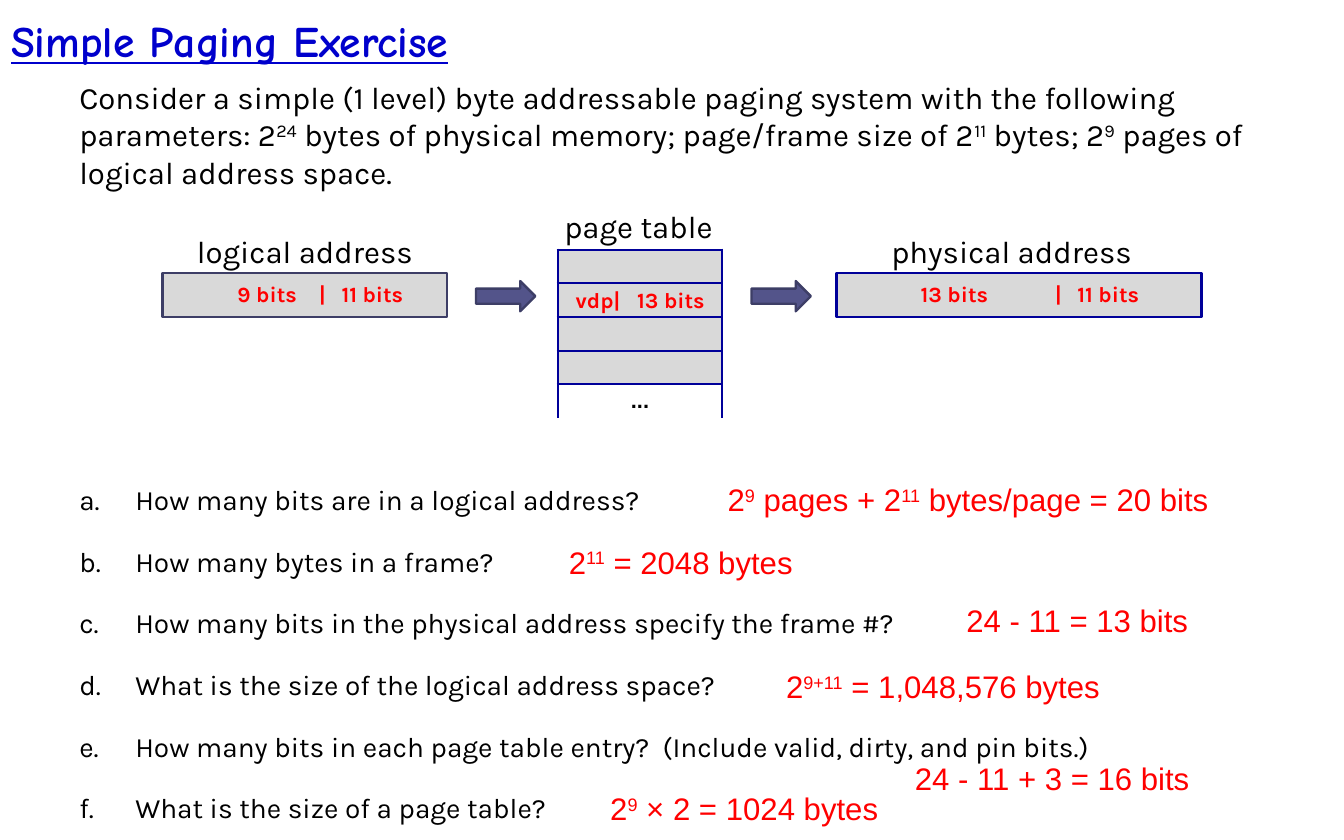
from lxml import etree
from pptx import Presentation
from pptx import util as u
from pptx.dml import color
from pptx.enum import shapes, text
from pptx.oxml import ns

THEME = {
    "title": "0000CC", "ink": "000000", "answer": "FF0000",
    "cell": "D9D9D9", "white": "FFFFFF", "navy": "000099",
    "arrow": "53548A", "slate": "3D3E66",
    "title_size": 28, "body_size": 20, "question_size": 18, "bits_size": 14,
    "title_font": "Comic Neue", "body_font": "Karla", "answer_font": "Arial",
    "line": 1.5,
}


def write(para, content, font, size, tint, **extra):
    """Fill a paragraph; parts between ^ marks are superscript."""
    style = {"name": font, "size": u.Pt(size), **extra}
    for index, part in enumerate(content.split("^")):
        span = para.add_run()
        span.text = part
        for name, value in style.items():
            setattr(span.font, name, value)
        span.font.color.rgb = color.RGBColor.from_string(tint)
        if index % 2:
            span._r.get_or_add_rPr().set("baseline", "30000")


def add_box(left, top, width, height, **frame):
    """Add a text box with the given frame settings; return its text frame."""
    box = page.shapes.add_textbox(*map(u.Inches, (left, top, width, height)))
    settings = {"word_wrap": True, **frame}
    for name, value in settings.items():
        setattr(box.text_frame, name, value)
    return box.text_frame


deck = Presentation()
deck.slide_width, deck.slide_height = u.Inches(12), u.Inches(7.5)
page = deck.slides.add_slide(deck.slide_layouts[5])
FIT = text.MSO_AUTO_SIZE.SHAPE_TO_FIT_TEXT
BODY = (THEME["body_font"], THEME["body_size"], THEME["ink"])

# Title
title = page.shapes.title
place = {"left": 0, "top": 0.01, "width": 9, "height": 0.69}
for name, value in place.items():
    setattr(title, name, u.Inches(value))
title.text_frame.vertical_anchor = text.MSO_ANCHOR.MIDDLE
para = title.text_frame.paragraphs[0]
para.alignment = text.PP_ALIGN.LEFT
write(para, "Simple Paging Exercise", THEME["title_font"], THEME["title_size"],
      THEME["title"], bold=True, underline=True)

# Address bars and arrows
BAR, ARROW = shapes.MSO_SHAPE.RECTANGLE, shapes.MSO_SHAPE.RIGHT_ARROW
for kind, left, top, width, height, fill, line in [
    (BAR, 7.47, 2.44, 3.26, 0.39, "cell", "navy"),
    (BAR, 1.45, 2.44, 2.54, 0.39, "cell", "slate"),
    (ARROW, 4.25, 2.51, 0.53, 0.27, "arrow", "slate"),
    (ARROW, 6.71, 2.51, 0.53, 0.27, "arrow", "slate"),
]:
    shape = page.shapes.add_shape(
        kind, *map(u.Inches, (left, top, width, height)))
    shape.shadow.inherit = False
    shape.fill.solid()
    shape.fill.fore_color.rgb = color.RGBColor.from_string(THEME[fill])
    shape.line.color.rgb = color.RGBColor.from_string(THEME[line])
    shape.line.width = u.Pt(THEME["line"])

# Page table: the last row is open at the bottom
ROWS, ROW_HEIGHT = 5, 0.3
table = page.shapes.add_table(
    ROWS, 1, u.Inches(4.98), u.Inches(2.23), u.Inches(1.47),
    u.Inches(ROWS * ROW_HEIGHT)).table
table.first_row = table.horz_banding = False
for row in range(ROWS):
    last = row == ROWS - 1
    cell = table.cell(row, 0)
    cell.margin_top = cell.margin_bottom = 0
    cell.vertical_anchor = text.MSO_ANCHOR.MIDDLE
    cell.fill.solid()
    cell.fill.fore_color.rgb = color.RGBColor.from_string(
        THEME["white" if last else "cell"])
    for index, side in enumerate(("lnL", "lnR", "lnT", "lnB")):
        edge = etree.Element(ns.qn(f"a:{side}"), w=str(u.Pt(THEME["line"])))
        if last and side == "lnB":
            etree.SubElement(edge, ns.qn("a:noFill"))
        else:
            paint = etree.SubElement(edge, ns.qn("a:solidFill"))
            etree.SubElement(paint, ns.qn("a:srgbClr"), val=THEME["navy"])
        cell._tc.get_or_add_tcPr().insert(index, edge)
    para = cell.text_frame.paragraphs[0]
    if last:
        para.alignment = text.PP_ALIGN.CENTER
        write(para, "...", THEME["answer_font"], THEME["bits_size"],
              THEME["ink"], bold=True)
    else:
        etree.SubElement(para._p, ns.qn("a:endParaRPr"),
                         sz=str(THEME["bits_size"] * 100))

# Diagram captions
for caption, left, top, width in [
    ("logical address", 1.66, 2.03, 2.2),
    ("physical address", 7.86, 2.03, 2.4),
    ("page table", 4.94, 1.8, 1.7),
]:
    frame = add_box(left, top, width, 0.36)
    write(frame.paragraphs[0], caption, *BODY)

# Bit fields, spaced by tab stops measured from the first field
for fields, left, top, width, inset, stops in [
    ("9 bits\t|\t11 bits", 1.71, 2.46, 2.31, 0.41, (0.73, 0.93)),
    ("13 bits\t|\t11 bits", 7.57, 2.46, 3.26, 0.65, (1.2, 1.4)),
    ("vdp|\t13 bits", 4.98, 2.51, 1.47, 0.16, (0.55,)),
]:
    frame = add_box(left, top, width, 0.34, margin_left=u.Inches(inset),
                    margin_right=0, auto_size=FIT)
    para = frame.paragraphs[0]
    tabs = etree.SubElement(para._p.get_or_add_pPr(), ns.qn("a:tabLst"))
    for stop in stops:
        etree.SubElement(tabs, ns.qn("a:tab"), pos=str(u.Inches(stop)),
                         algn="l")
    write(para, fields, THEME["body_font"], THEME["bits_size"],
          THEME["answer"], bold=True)

# Answers
for answer, left, top, width, wrap in [
    ("2^9^ pages + 2^11^ bytes/page = 20 bits", 6, 4.24, 4.89, True),
    ("2^11^ = 2048 bytes", 4.98, 4.8, 2.29, False),
    ("24 - 11 = 13 bits", 8.53, 5.32, 2.2, False),
    ("2^9+11^ = 1,048,576 bytes", 6.92, 5.91, 3.16, False),
    ("24 - 11 + 3 = 16 bits", 8.07, 6.73, 2.67, False),
    ("2^9^ × 2 = 1024 bytes", 5.35, 7, 2.72, False),
]:
    frame = add_box(left, top, width, 0.44, word_wrap=wrap, auto_size=FIT)
    para = frame.paragraphs[0]
    para.alignment = text.PP_ALIGN.RIGHT if wrap else text.PP_ALIGN.LEFT
    write(para, answer, THEME["answer_font"], THEME["body_size"],
          THEME["answer"])

# Problem statement
frame = add_box(0.61, 0.65, 10.86, 1.11, auto_size=FIT)
write(frame.paragraphs[0],
      "Consider a simple (1 level) byte addressable paging system with the "
      "following parameters: 2^24^ bytes of physical memory; page/frame size "
      "of 2^11^ bytes; 2^9^ pages of logical address space.", *BODY)

# Lettered questions
frame = add_box(0.61, 4.26, 10.86, 3.18, auto_size=FIT)
for index, question in enumerate([
    "How many bits are in a logical address?",
    "How many bytes in a frame?",
    "How many bits in the physical address specify the frame #?",
    "What is the size of the logical address space?",
    "How many bits in each page table entry?  (Include valid, dirty, and pin bits.)",
    "What is the size of a page table?",
]):
    para = frame.add_paragraph() if index else frame.paragraphs[0]
    para.space_after = u.Pt(18)
    layout = para._p.get_or_add_pPr()
    layout.set("marL", str(u.Inches(0.5)))
    layout.set("indent", str(u.Inches(-0.5)))
    etree.SubElement(layout, ns.qn("a:buAutoNum"), type="alphaLcPeriod")
    write(para, question, THEME["body_font"], THEME["question_size"],
          THEME["ink"])

deck.save("out.pptx")
